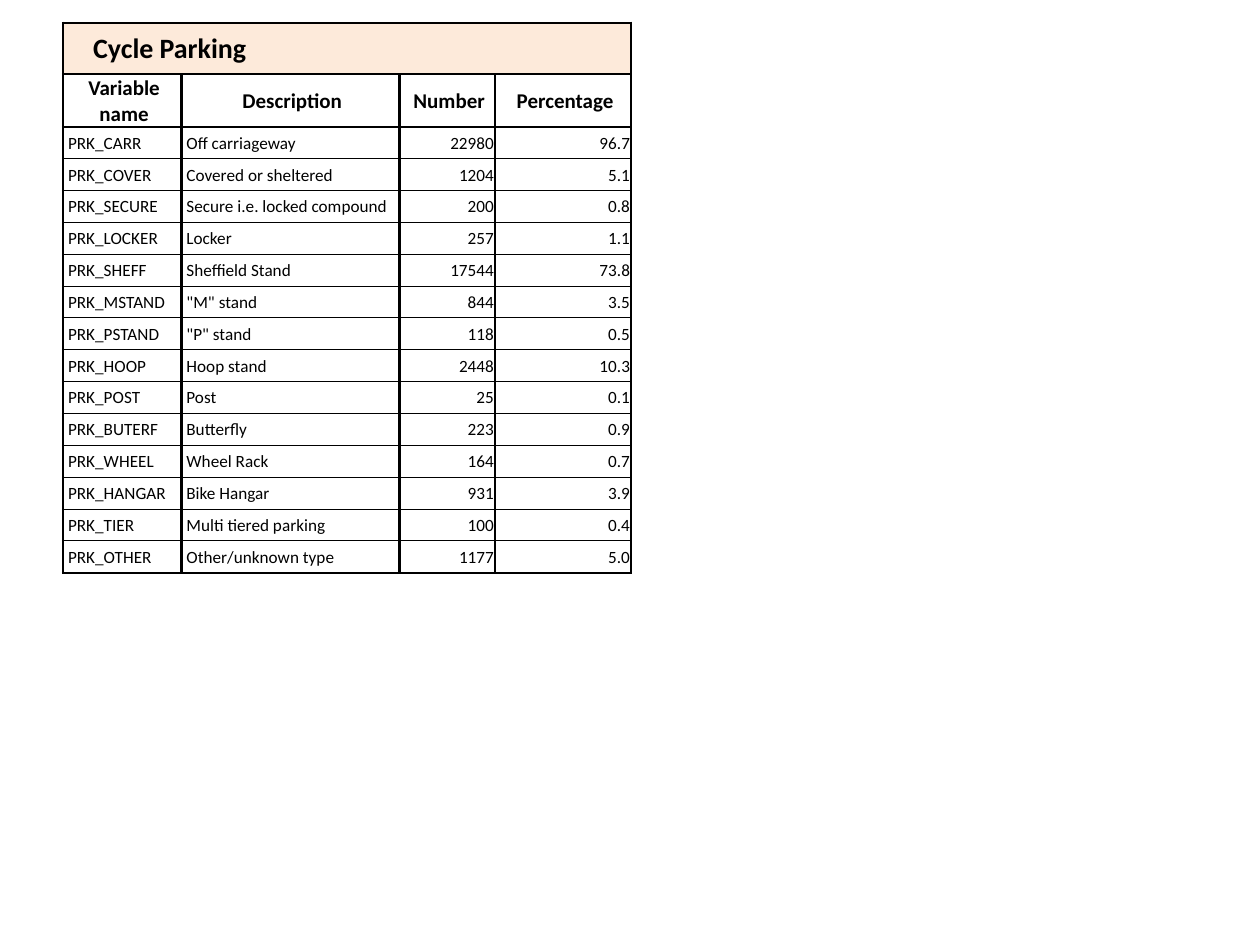
from dataclasses import dataclass

from lxml import etree
from pptx import Presentation
from pptx.dml.color import RGBColor
from pptx.enum.text import MSO_ANCHOR, PP_ALIGN
from pptx.oxml.ns import qn
from pptx.util import Inches, Pt

LEFT, CENTER, RIGHT = PP_ALIGN.LEFT, PP_ALIGN.CENTER, PP_ALIGN.RIGHT
MIDDLE = MSO_ANCHOR.MIDDLE


@dataclass(frozen=True)
class Theme:
    font: str = "Calibri"
    ink: str = "000000"
    paper: str = "FFFFFF"
    title_fill: str = "FDEADA"
    title_size: float = 16
    header_size: float = 12
    body_size: float = 9.8
    thick: float = 1.5
    thin: float = 0.5


@dataclass(frozen=True)
class Column:
    heading: str
    width: float
    align: PP_ALIGN
    fill: str | None


@dataclass(frozen=True)
class CellStyle:
    size: float
    bold: bool
    align: PP_ALIGN
    fill: str | None
    borders: dict[str, float]
    indent: float = 0.04


THEME = Theme()

COLUMNS = [
    Column("Variable name", 0.94, LEFT, THEME.paper),
    Column("Description", 1.73, LEFT, None),
    Column("Number", 0.76, RIGHT, THEME.paper),
    Column("Percentage", 1.08, RIGHT, THEME.paper),
]

PARKING = [
    ("PRK_CARR", "Off carriageway", "22980", "96.7"),
    ("PRK_COVER", "Covered or sheltered", "1204", "5.1"),
    ("PRK_SECURE", "Secure i.e. locked compound", "200", "0.8"),
    ("PRK_LOCKER", "Locker", "257", "1.1"),
    ("PRK_SHEFF", "Sheffield Stand", "17544", "73.8"),
    ("PRK_MSTAND", '"M" stand', "844", "3.5"),
    ("PRK_PSTAND", '"P" stand', "118", "0.5"),
    ("PRK_HOOP", "Hoop stand", "2448", "10.3"),
    ("PRK_POST", "Post", "25", "0.1"),
    ("PRK_BUTERF", "Butterfly", "223", "0.9"),
    ("PRK_WHEEL", "Wheel Rack", "164", "0.7"),
    ("PRK_HANGAR", "Bike Hangar", "931", "3.9"),
    ("PRK_TIER", "Multi tiered parking", "100", "0.4"),
    ("PRK_OTHER", "Other/unknown type", "1177", "5.0"),
]

TABLE_LEFT, TABLE_TOP = 0.5, 0.18
HEADING_HEIGHT, BODY_HEIGHT = 0.41, 3.54


def set_borders(cell, widths: dict[str, float]) -> None:
    """Draw the sides named in widths (points) and clear the others."""
    properties = cell._tc.get_or_add_tcPr()
    for side in "LRTB":
        line = etree.SubElement(properties, qn(f"a:ln{side}"))
        if side in widths:
            line.set("w", str(Pt(widths[side])))
            fill = etree.SubElement(line, qn("a:solidFill"))
            etree.SubElement(fill, qn("a:srgbClr"), val=THEME.ink)
        else:
            etree.SubElement(line, qn("a:noFill"))


def format_cell(cell, text: str, style: CellStyle) -> None:
    set_borders(cell, style.borders)
    cell_format = {
        "margin_left": Inches(style.indent),
        "margin_top": Inches(0.01),
        "margin_right": Inches(0.01),
        "margin_bottom": 0,
        "vertical_anchor": MIDDLE,
    }
    for name, value in cell_format.items():
        setattr(cell, name, value)
    if style.fill:
        cell.fill.solid()
        cell.fill.fore_color.rgb = RGBColor.from_string(style.fill)
    else:
        cell.fill.background()

    paragraph = cell.text_frame.paragraphs[0]
    paragraph.alignment = style.align
    font = paragraph.font
    if text:
        run = paragraph.add_run()
        run.text = text
        font = run.font
    font_format = {"name": THEME.font, "size": Pt(style.size), "bold": style.bold}
    for name, value in font_format.items():
        setattr(font, name, value)
    font.color.rgb = RGBColor.from_string(THEME.ink)


def fill_title(table) -> None:
    last = len(COLUMNS) - 1
    for index in range(len(COLUMNS)):
        borders = {"T": THEME.thick, "B": THEME.thick}
        if index == 0:
            borders["L"] = THEME.thick
        if index == last:
            borders["R"] = THEME.thick
        style = CellStyle(THEME.title_size, True, LEFT, THEME.title_fill, borders, 0.24)
        format_cell(table.cell(0, index), "Cycle Parking" if index == 0 else "", style)
    table.cell(0, 0).merge(table.cell(0, 1))


def fill_headings(table) -> None:
    borders = dict.fromkeys("LRTB", THEME.thick)
    for index, column in enumerate(COLUMNS):
        style = CellStyle(THEME.header_size, True, CENTER, column.fill, borders)
        format_cell(table.cell(1, index), column.heading, style)


def fill_body(table) -> None:
    for row, values in enumerate(PARKING):
        borders = {
            "L": THEME.thick,
            "R": THEME.thick,
            "T": THEME.thick if row == 0 else THEME.thin,
            "B": THEME.thick if row == len(PARKING) - 1 else THEME.thin,
        }
        for index, (column, value) in enumerate(zip(COLUMNS, values)):
            style = CellStyle(THEME.body_size, False, column.align, column.fill, borders)
            format_cell(table.cell(row + 2, index), value, style)


def add_parking_table(slide) -> None:
    shape = slide.shapes.add_table(
        len(PARKING) + 2, len(COLUMNS),
        Inches(TABLE_LEFT), Inches(TABLE_TOP),
        Inches(sum(column.width for column in COLUMNS)),
        Inches(2 * HEADING_HEIGHT + BODY_HEIGHT),
    )
    table = shape.table
    table.first_row = False
    table.horz_banding = False

    # Column widths and row heights
    for table_column, column in zip(table.columns, COLUMNS):
        table_column.width = Inches(column.width)
    for index, row in enumerate(table.rows):
        height = HEADING_HEIGHT if index < 2 else BODY_HEIGHT / len(PARKING)
        row.height = Inches(height)

    fill_title(table)
    fill_headings(table)
    fill_body(table)


def main() -> None:
    presentation = Presentation()
    presentation.slide_width = Inches(10)
    presentation.slide_height = Inches(7.5)
    slide = presentation.slides.add_slide(presentation.slide_layouts[6])
    add_parking_table(slide)
    presentation.save("out.pptx")


if __name__ == "__main__":
    main()
